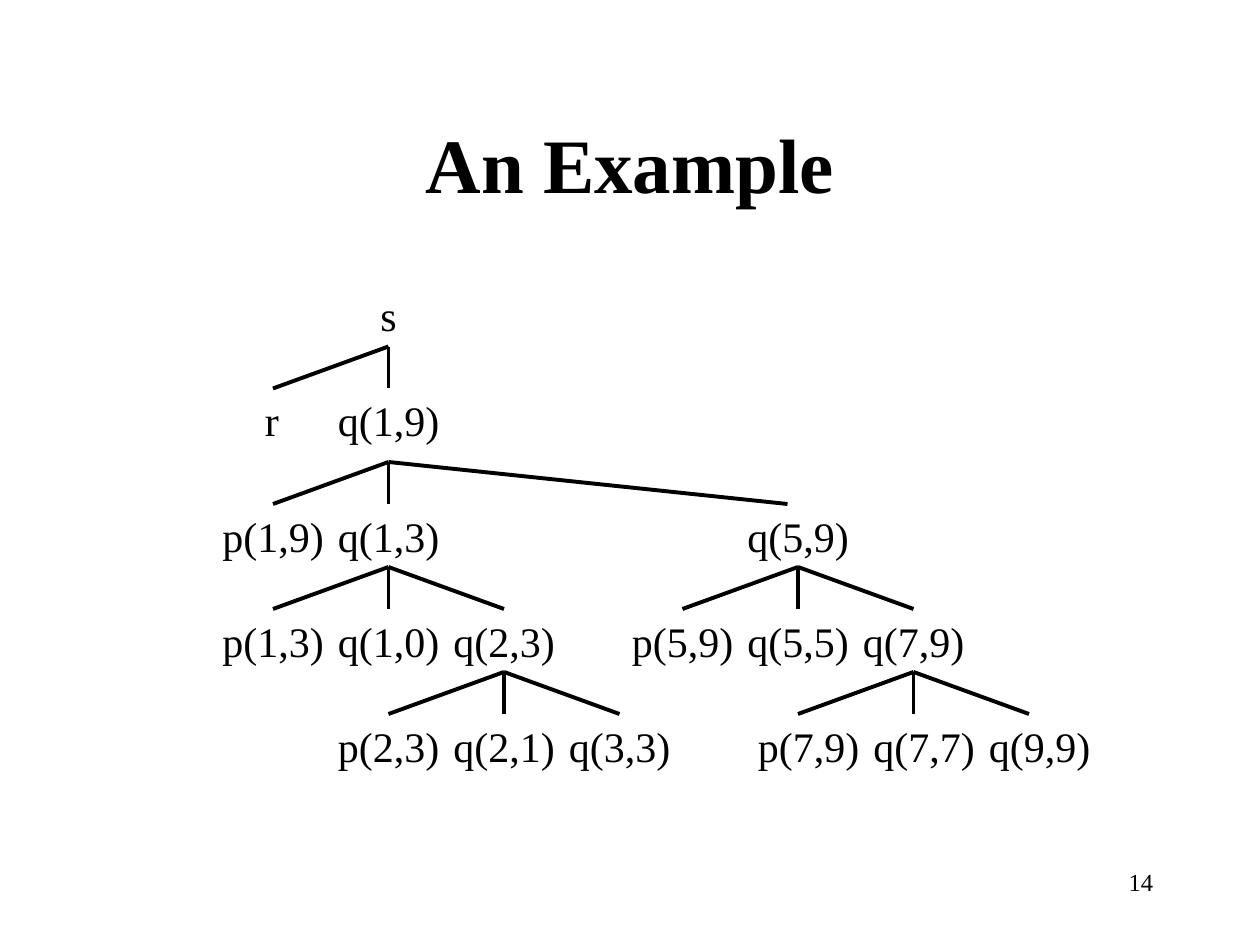
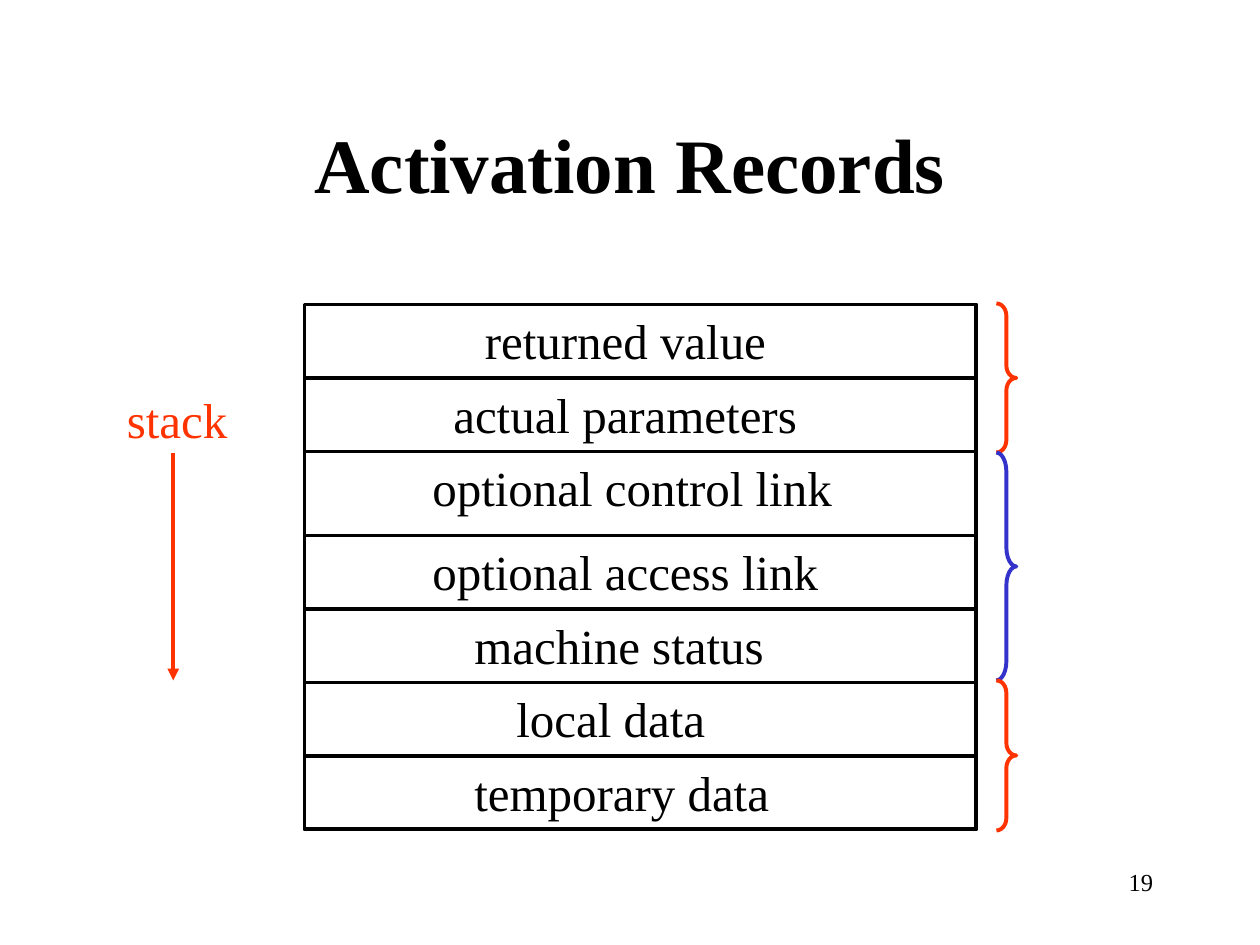
from dataclasses import dataclass
from itertools import pairwise

from lxml.etree import SubElement
from pptx import Presentation
from pptx.dml.color import RGBColor
from pptx.enum.shapes import MSO_CONNECTOR, MSO_SHAPE
from pptx.enum.text import MSO_ANCHOR, PP_ALIGN
from pptx.oxml.ns import qn
from pptx.util import Emu, Pt

PX = 7620  # 120 px to the inch
FONT = "Times New Roman"
BLACK, RED, BLUE = "000000", "FF3300", "3333CC"
LINE_WIDTH = Pt(2.25)

LEVEL_TOPS = [270, 370, 480, 580, 680]
EDGE_HEIGHT = 40

TABLE_LEFT, TABLE_RIGHT, TABLE_BOTTOM = 290, 930, 790
RECORD_FIELDS = [  # text, row top, text left, text width
    ("returned value", 290, 450, 298),
    ("actual parameters", 360, 420, 358),
    ("optional control link", 430, 400, 410),
    ("optional access link", 510, 400, 398),
    ("machine status", 580, 440, 306),
    ("local data", 650, 480, 210),
    ("temporary data", 720, 440, 312),
]
BRACE_ENDS = [289, 431, 648, 791]
BRACE_COLORS = [RED, BLUE, RED]


@dataclass
class Call:
    """A node of the call tree; edge_end is set where it differs from x."""
    name: str
    x: int
    children: tuple = ()
    edge_end: int | None = None


CALL_TREE = Call("s", 370, (
    Call("r", 259, edge_end=260),
    Call("q(1,9)", 370, (
        Call("p(1,9)", 260),
        Call("q(1,3)", 370, (
            Call("p(1,3)", 260),
            Call("q(1,0)", 370),
            Call("q(2,3)", 480, (
                Call("p(2,3)", 370),
                Call("q(2,1)", 480),
                Call("q(3,3)", 590),
            )),
        )),
        Call("q(5,9)", 760, (
            Call("p(5,9)", 650),
            Call("q(5,5)", 760),
            Call("q(7,9)", 870, (
                Call("p(7,9)", 770, edge_end=760),
                Call("q(7,7)", 880, edge_end=870),
                Call("q(9,9)", 990, edge_end=980),
            )),
        ), edge_end=750),
    )),
))


def px(*lengths):
    return [Emu(length * PX) for length in lengths]


def color(value):
    return RGBColor.from_string(value)


def add_text(slide, text, box, size, text_color=BLACK, align=PP_ALIGN.LEFT,
             bold=False, anchor=MSO_ANCHOR.TOP):
    frame = slide.shapes.add_textbox(*px(*box)).text_frame
    frame.word_wrap = True
    frame.vertical_anchor = anchor
    paragraph = frame.paragraphs[0]
    paragraph.text = text
    paragraph.alignment = align
    font = paragraph.font
    font.name, font.size, font.bold = FONT, Pt(size), bold
    font.color.rgb = color(text_color)


def set_line(shape, line_color):
    shape.line.color.rgb = color(line_color)
    shape.line.width = LINE_WIDTH


def add_line(slide, start, end, line_color=BLACK, arrow=False):
    connector = slide.shapes.add_connector(
        MSO_CONNECTOR.STRAIGHT, *px(*start, *end))
    set_line(connector, line_color)
    if arrow:
        SubElement(connector.line._get_or_add_ln(), qn("a:tailEnd"),
                   type="triangle")
    SubElement(connector._element.spPr, qn("a:effectLst"))


def add_outline(slide, kind, box, line_color=BLACK):
    shape = slide.shapes.add_shape(kind, *px(*box))
    shape.shadow.inherit = False
    shape.fill.background()
    set_line(shape, line_color)
    return shape


def add_brace(slide, top, bottom, line_color):
    width, height = 19, bottom - top
    brace = add_outline(slide, MSO_SHAPE.RIGHT_BRACE,
                        (949, top, width, height), line_color)
    brace.adjustments[0] = height / 12 / width


def add_call(slide, call, level=0):
    """Draw a call, then its edges and calls below it."""
    width = 40 if len(call.name) == 1 else 128
    add_text(slide, call.name,
             (call.x - width // 2, LEVEL_TOPS[level], width, 60), 24,
             align=PP_ALIGN.CENTER)
    for child in call.children:
        bottom = LEVEL_TOPS[level + 1]
        add_line(slide, (call.x, bottom - EDGE_HEIGHT),
                 (child.edge_end or child.x, bottom))
        add_call(slide, child, level + 1)


def add_slide(presentation, title, number):
    slide = presentation.slides.add_slide(presentation.slide_layouts[6])
    add_text(slide, title, (90, 80, 1020, 150), 44, align=PP_ALIGN.CENTER,
             bold=True, anchor=MSO_ANCHOR.MIDDLE)
    add_text(slide, str(number), (860, 820, 250, 60), 14,
             align=PP_ALIGN.RIGHT)
    return slide


def add_record(slide):
    table_top = RECORD_FIELDS[0][1]
    add_outline(slide, MSO_SHAPE.RECTANGLE,
                (TABLE_LEFT, table_top, TABLE_RIGHT - TABLE_LEFT,
                 TABLE_BOTTOM - table_top))
    for text, top, left, width in RECORD_FIELDS:
        if top > table_top:
            add_line(slide, (TABLE_LEFT, top), (TABLE_RIGHT, top))
        add_text(slide, text, (left, top, width, 68), 28)


def main():
    presentation = Presentation()
    presentation.slide_width, presentation.slide_height = px(1200, 900)

    example = add_slide(presentation, "An Example", 14)
    add_call(example, CALL_TREE)

    records = add_slide(presentation, "Activation Records", 19)
    add_record(records)
    add_line(records, (165, 431), (165, 648), RED, arrow=True)
    for (top, bottom), brace_color in zip(pairwise(BRACE_ENDS), BRACE_COLORS):
        add_brace(records, top, bottom, brace_color)
    add_text(records, "stack", (109, 365, 126, 68), 28, RED)

    presentation.save("out.pptx")


if __name__ == "__main__":
    main()
